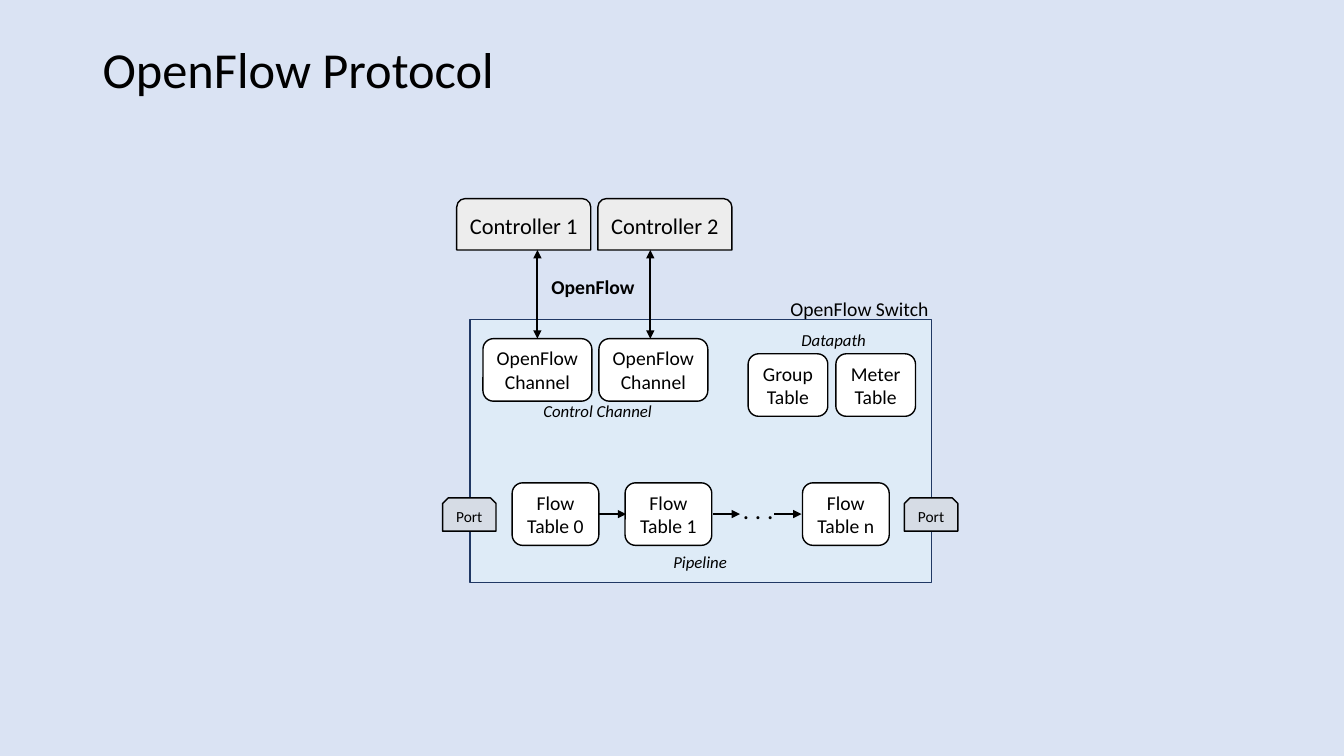
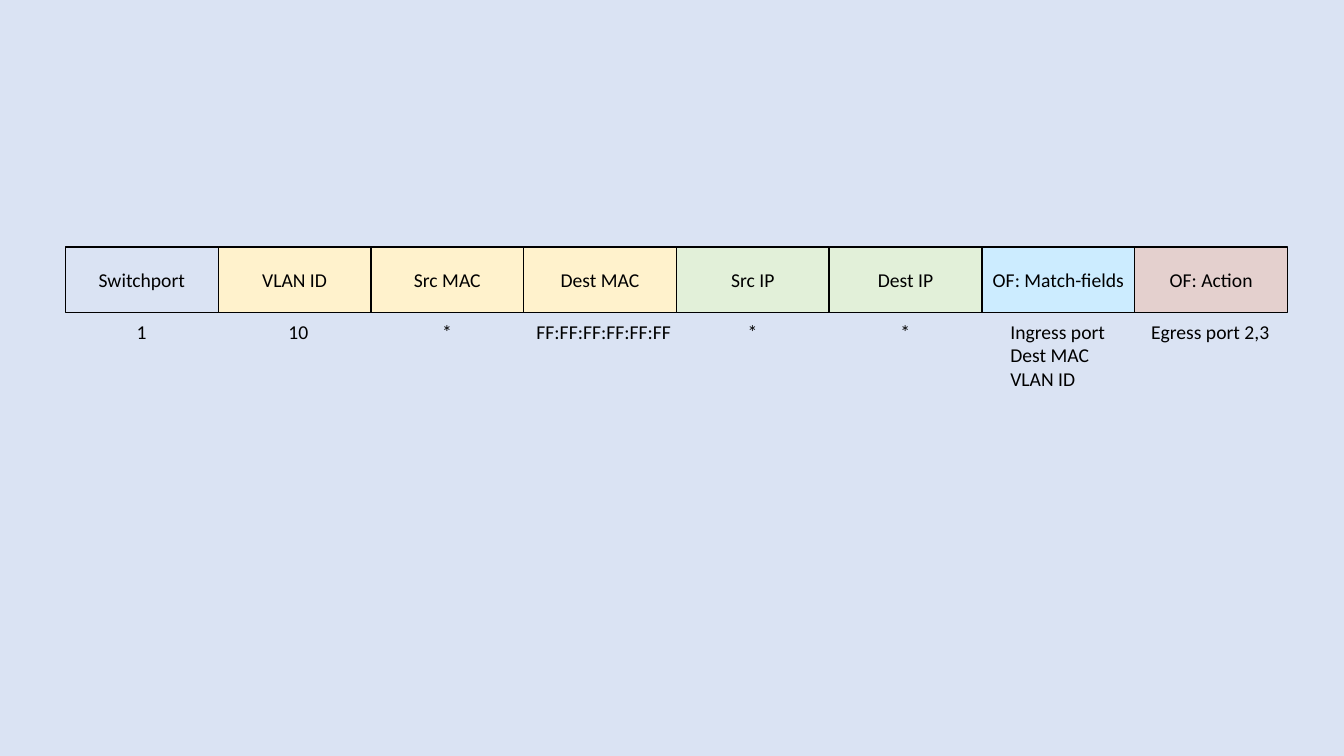
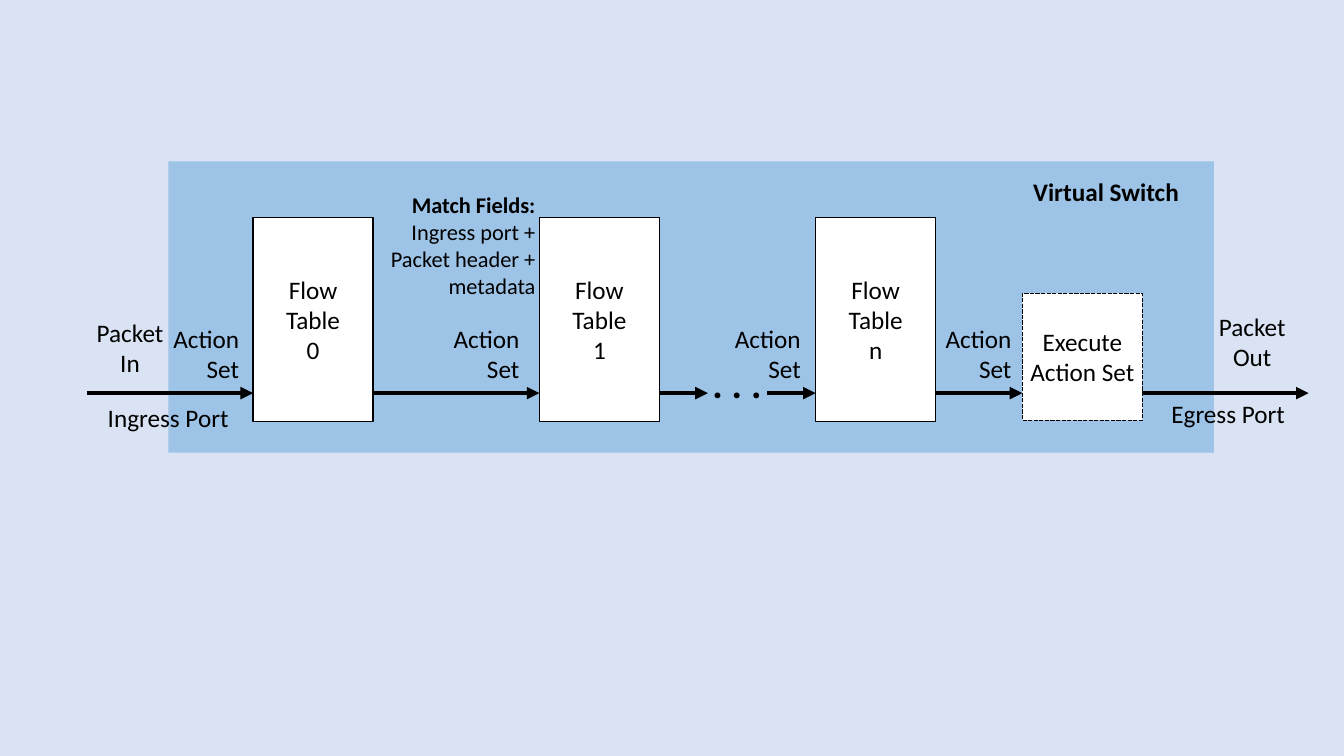
from dataclasses import dataclass

from lxml.etree import SubElement
from pptx import Presentation
from pptx.dml.color import RGBColor
from pptx.enum.dml import MSO_LINE
from pptx.enum.shapes import MSO_CONNECTOR, MSO_SHAPE as Preset
from pptx.enum.text import MSO_ANCHOR as Anchor, MSO_AUTO_SIZE as AutoSize, PP_ALIGN as Align
from pptx.oxml.ns import qn
from pptx.util import Inches, Pt

FONT = "Calibri"
COLORS = {
    "background": "DAE3F3",
    "ink": "000000",
    "white": "FFFFFF",
    "switch": "DEEBF7",
    "switch_edge": "203864",
    "port": "D6DCE5",
    "controller": "EDEDED",
    "ethernet": "FFF2CC",
    "ip": "E2F0D9",
    "match": "CCECFF",
    "action": "E4D0CE",
    "pipeline": "9DC3E6",
}


@dataclass(frozen=True)
class Block:
    text: str
    left: float
    top: float
    width: float
    height: float
    fill: str = "white"
    edge: str | None = "ink"
    preset: Preset = Preset.RECTANGLE
    size: float = 14
    dashed: bool = False


@dataclass(frozen=True)
class Label:
    text: str
    left: float
    top: float
    width: float
    height: float
    size: float = 14
    align: Align = Align.LEFT
    wrap: bool = False
    bold_lines: int = 0
    italic: bool = False


@dataclass(frozen=True)
class Arrow:
    start: tuple[float, float]
    end: tuple[float, float]
    weight: float = 1
    two_way: bool = False


@dataclass(frozen=True)
class Field:
    """A flow entry column; shift moves its value off the column centre."""
    name: str
    fill: str
    value: str
    value_width: float = 0.3
    value_height: float = 0.34
    shift: float = 0


def color(name: str) -> RGBColor:
    return RGBColor.from_string(COLORS[name])


def write_text(frame, text: str, *, size: float, align=Align.LEFT, anchor=Anchor.TOP,
               wrap=True, bold_lines=0, italic=False, spacing=None) -> None:
    """Write one paragraph per line, the first bold_lines of them in bold."""
    frame.word_wrap = wrap
    frame.vertical_anchor = anchor
    for index, line in enumerate(text.split("\n")):
        para = frame.add_paragraph() if index else frame.paragraphs[0]
        para.alignment = align
        if spacing:
            para.line_spacing = spacing
        span = para.add_run()
        span.text = line
        span.font.name = FONT
        span.font.size = Pt(size)
        span.font.bold = index < bold_lines
        span.font.italic = italic
        span.font.color.rgb = color("ink")


def draw_block(page, block: Block) -> None:
    box = page.shapes.add_shape(block.preset, Inches(block.left), Inches(block.top),
                                Inches(block.width), Inches(block.height))
    box.shadow.inherit = False
    box.fill.solid()
    box.fill.fore_color.rgb = color(block.fill)
    if block.edge:
        box.line.color.rgb = color(block.edge)
        box.line.width = Pt(1)
        if block.dashed:
            box.line.dash_style = MSO_LINE.SQUARE_DOT
    else:
        box.line.fill.background()
    if block.text:
        frame = box.text_frame
        frame.margin_left = frame.margin_right = Inches(0.05)
        write_text(frame, block.text, size=block.size, align=Align.CENTER, anchor=Anchor.MIDDLE)


def draw_label(page, label: Label) -> None:
    box = page.shapes.add_textbox(Inches(label.left), Inches(label.top),
                                  Inches(label.width), Inches(label.height))
    write_text(box.text_frame, label.text, size=label.size, align=label.align, wrap=label.wrap,
               bold_lines=label.bold_lines, italic=label.italic)
    box.text_frame.auto_size = AutoSize.SHAPE_TO_FIT_TEXT


def draw_arrow(page, arrow: Arrow) -> None:
    line = page.shapes.add_connector(MSO_CONNECTOR.STRAIGHT, *map(Inches, arrow.start + arrow.end))
    line.line.color.rgb = color("ink")
    line.line.width = Pt(arrow.weight)
    properties = line.element.spPr
    outline = properties.get_or_add_ln()
    for tag in ("a:headEnd", "a:tailEnd") if arrow.two_way else ("a:tailEnd",):
        SubElement(outline, qn(tag)).set("type", "triangle")
    SubElement(properties, qn("a:effectLst"))


def draw_all(page, items: list[Block | Label | Arrow]) -> None:
    drawers = {Block: draw_block, Label: draw_label, Arrow: draw_arrow}
    for item in items:
        drawers[type(item)](page, item)


def add_page(deck):
    return deck.slides.add_slide(deck.slide_layouts[6])


def add_title(page, text: str) -> None:
    box = page.shapes.add_textbox(Inches(0.92), Inches(0.4), Inches(11.5), Inches(0.64))
    write_text(box.text_frame, text, size=36, anchor=Anchor.BOTTOM, spacing=0.9)


def build_protocol(deck) -> None:
    page = add_page(deck)
    add_title(page, "OpenFlow Protocol")
    rounded = Preset.ROUNDED_RECTANGLE
    flow_y = 5.1
    draw_all(page, [
        Block("", 4.66, 3.17, 4.58, 2.61, "switch", "switch_edge"),
        *(Block(f"Flow Table {number}", left, 4.79, 0.86, 0.62, preset=rounded)
          for number, left in (("0", 5.08), ("1", 6.2), ("n", 7.96))),
        *(Block(f"{kind} Table", left, 3.51, 0.79, 0.62, preset=rounded)
          for kind, left in (("Group", 7.42), ("Meter", 8.29))),
        *(Block("OpenFlow\nChannel", left, 3.36, 1.08, 0.62, preset=rounded)
          for left in (4.79, 5.94)),
        *(Block("Port", left, 4.94, 0.53, 0.33, "port", preset=Preset.SNIP_2_SAME_RECTANGLE, size=11)
          for left in (4.39, 8.97)),
        *(Block(f"Controller {number}", left, 1.97, 1.33, 0.51, "controller",
                preset=Preset.ROUND_2_SAME_RECTANGLE, size=16)
          for number, left in ((1, 4.53), (2, 5.93))),
        *(Arrow((left, flow_y), (left + 0.27, flow_y)) for left in (5.94, 7.07, 7.68)),
        *(Arrow((x, 2.48), (x, 3.36), 1.5, two_way=True) for x in (5.33, 6.45)),
        Label(". . .", 7.27, 4.85, 0.51, 0.4, 18),
        Label("OpenFlow", 5.37, 2.68, 1.03, 0.34, bold_lines=1),
        Label("OpenFlow Switch", 7.74, 2.9, 1.58, 0.34),
        *(Label(text, left, top, width, 0.3, 12, italic=True)
          for text, left, top, width in (("Pipeline", 6.58, 5.42, 0.75),
                                         ("Datapath", 7.85, 3.22, 0.84),
                                         ("Control Channel", 5.29, 3.93, 1.3))),
    ])


def build_flow_entry(deck) -> None:
    page = add_page(deck)
    fields = [
        Field("Switchport", "background", "1"),
        Field("VLAN ID", "ethernet", "10", 0.4, shift=0.04),
        Field("Src MAC", "ethernet", "*"),
        Field("Dest MAC", "ethernet", "FF:FF:FF:FF:FF:FF", 1.54, shift=0.04),
        Field("Src IP", "ip", "*"),
        Field("Dest IP", "ip", "*"),
        Field("OF: Match-fields", "match", "Ingress port\nDest MAC\nVLAN ID", 1.15, 0.81),
        Field("OF: Action", "action", "Egress port 2,3", 1.39),
    ]
    first_left = 0.65
    column_width = 12.12 / len(fields)
    for index, field in enumerate(fields):
        left = first_left + index * column_width
        value_left = left + (column_width - field.value_width) / 2 + field.shift
        draw_all(page, [
            Block(field.name, left, 2.45, column_width, 0.65, field.fill),
            Label(field.value, value_left, 3.12, field.value_width, field.value_height),
        ])


def build_pipeline(deck) -> None:
    page = add_page(deck)
    flow_y = 3.9
    draw_all(page, [
        Block("", 1.67, 1.6, 10.37, 2.89, "pipeline", None),
        *(Block(f"Flow\nTable\n{number}", left, 2.16, 1.19, 2.02, size=18)
          for number, left in (("0", 2.51), ("1", 5.35), ("n", 8.09))),
        Block("Execute Action Set", 10.14, 2.91, 1.19, 1.26, size=18, dashed=True),
        *(Arrow((start, flow_y), (end, flow_y), 3)
          for start, end in ((0.86, 2.51), (3.7, 5.35), (6.55, 7.02),
                             (7.61, 8.09), (9.28, 10.14), (11.33, 12.98))),
        Label("Ingress Port", 0.97, 3.94, 1.41, 0.4, 18, wrap=True),
        Label("Egress Port", 11.52, 3.9, 1.34, 0.4, 18),
        Label("Packet\nIn", 0.84, 3.1, 0.9, 0.71, 18, Align.CENTER, True),
        Label("Packet\nOut", 11.97, 3.04, 0.9, 0.71, 18, Align.CENTER, True),
        Label("Virtual Switch", 10.06, 1.7, 1.82, 0.4, 18, Align.CENTER, True, bold_lines=1),
        Label(". . .", 6.86, 3.52, 0.9, 0.57, 28, Align.CENTER, True, bold_lines=1),
        *(Label("Action Set", left, 3.16, 0.9, 0.71, 18, Align.RIGHT, True)
          for left in (1.57, 4.35, 7.14, 9.23)),
        Label("Match Fields:\nIngress port +\nPacket header +\nmetadata",
              3.51, 1.85, 1.9, 1.18, 16, Align.RIGHT, True, bold_lines=1),
    ])


def main() -> None:
    deck = Presentation()
    deck.slide_width = Inches(13.33)
    deck.slide_height = Inches(7.5)
    backdrop = deck.slide_master.background.fill
    backdrop.solid()
    backdrop.fore_color.rgb = color("background")
    for build in (build_protocol, build_flow_entry, build_pipeline):
        build(deck)
    deck.save("out.pptx")


if __name__ == "__main__":
    main()
